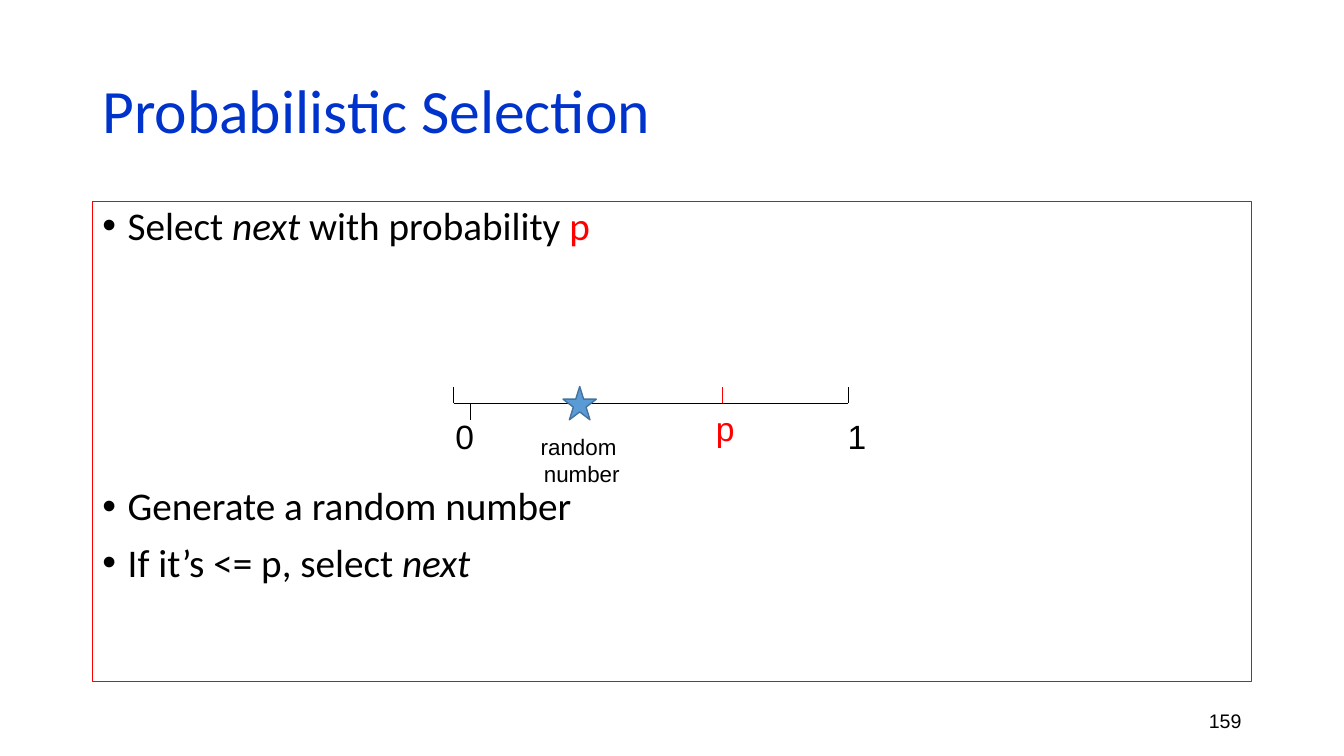
from lxml import etree
from pptx import Presentation
from pptx.dml.color import RGBColor
from pptx.enum.shapes import MSO_CONNECTOR, MSO_SHAPE
from pptx.enum.text import MSO_ANCHOR, PP_ALIGN
from pptx.oxml.ns import qn
from pptx.util import Cm, Pt

BLACK = RGBColor(0x00, 0x00, 0x00)
RED = RGBColor(0xFF, 0x00, 0x00)
TITLE_BLUE = RGBColor(0x00, 0x33, 0xCC)
STAR_FILL = RGBColor(0x5B, 0x9B, 0xD5)
STAR_LINE = RGBColor(0x43, 0x73, 0x9E)
LEFT, CENTER, RIGHT = PP_ALIGN.LEFT, PP_ALIGN.CENTER, PP_ALIGN.RIGHT
TOP, MIDDLE = MSO_ANCHOR.TOP, MSO_ANCHOR.MIDDLE
RECTANGLE, STAR = MSO_SHAPE.RECTANGLE, MSO_SHAPE.STAR_5_POINT
STRAIGHT = MSO_CONNECTOR.STRAIGHT

HEADING_FONT, LABEL_FONT = "Calibri", "Arial"
DIAGRAM_GAP = 170

# Each bullet: space before in points, then (text, italic, colour) runs.
BULLETS = [
    (0, [("Select ", False, BLACK), ("next", True, BLACK),
         (" with probability ", False, BLACK), ("p", False, RED)]),
    (DIAGRAM_GAP, [("Generate a random number", False, BLACK)]),
    (10, [("If it’s <= p, select ", False, BLACK), ("next", True, BLACK)]),
]


def set_font(paragraph, name, size, color):
    font = paragraph.font
    font.name, font.size = name, Pt(size)
    font.color.rgb = color


def add_text(slide, box, lines, font_name, size, color,
             alignment=LEFT, anchor=TOP, wrap=True, line_spacing=1.0):
    frame = slide.shapes.add_textbox(*map(Cm, box)).text_frame
    frame.word_wrap = wrap
    frame.vertical_anchor = anchor
    for index, line in enumerate(lines):
        paragraph = frame.add_paragraph() if index else frame.paragraphs[0]
        paragraph.text = line
        paragraph.alignment = alignment
        paragraph.line_spacing = line_spacing
        set_font(paragraph, font_name, size, color)


def add_line(slide, start, end, color):
    connector = slide.shapes.add_connector(STRAIGHT, *map(Cm, (*start, *end)))
    connector.line.color.rgb = color
    connector.line.width = Pt(0.5)
    properties = connector._element.spPr
    etree.SubElement(properties, qn("a:effectLst"))


def add_outlined_shape(slide, kind, box, line_color, line_width):
    shape = slide.shapes.add_shape(kind, *map(Cm, box))
    shape.shadow.inherit = False
    shape.line.color.rgb = line_color
    shape.line.width = Pt(line_width)
    return shape


def add_bullet(paragraph):
    properties = paragraph._p.get_or_add_pPr()
    properties.set("marL", str(Cm(0.64)))
    properties.set("indent", str(-Cm(0.64)))
    etree.SubElement(properties, qn("a:buFont"), typeface=LABEL_FONT)
    etree.SubElement(properties, qn("a:buChar"), char="•")


def add_body(slide, box):
    shape = add_outlined_shape(slide, RECTANGLE, box, RED, 0.75)
    shape.fill.background()
    frame = shape.text_frame
    frame.word_wrap = True
    frame.vertical_anchor = TOP
    for index, (space_before, runs) in enumerate(BULLETS):
        paragraph = frame.add_paragraph() if index else frame.paragraphs[0]
        add_bullet(paragraph)
        paragraph.alignment = LEFT
        paragraph.line_spacing = 0.9
        paragraph.space_before = Pt(space_before)
        set_font(paragraph, HEADING_FONT, 28, BLACK)
        for text, italic, color in runs:
            run = paragraph.add_run()
            run.text = text
            run.font.italic = italic
            run.font.color.rgb = color


def add_number_line(slide, box):
    """Draw the 0-to-1 axis along the middle of the box, with p and the star."""
    left, top, width, height = box
    tick = height / 2
    axis = top + tick
    right = left + width
    probability = left + 6.78
    star_center = left + 3.18

    add_line(slide, (left, axis), (right, axis), BLACK)
    for x, color in ((left, BLACK), (right, BLACK), (probability, RED)):
        add_line(slide, (x, axis), (x, axis - tick), color)
    add_line(slide, (left + tick, axis + tick), (left + tick, axis), BLACK)

    labels = [("0", left - 0.2, axis + 0.2, BLACK),
              ("1", right - 0.27, axis + 0.2, BLACK),
              ("p", probability - 0.42, axis, RED)]
    for text, x, y, color in labels:
        add_text(slide, (x, y, 1.1, 1.28), [text], LABEL_FONT, 24, color)

    star_box = (star_center - tick, top, height, height)
    star = add_outlined_shape(slide, STAR, star_box, STAR_LINE, 1)
    star.fill.solid()
    star.fill.fore_color.rgb = STAR_FILL
    add_text(slide, (star_center - 1.26, axis + 0.64, 2.62, 1.62),
             ["random ", "number"], LABEL_FONT, 16, BLACK,
             alignment=CENTER, wrap=False)


def main():
    presentation = Presentation()
    presentation.slide_width, presentation.slide_height = Cm(33.87), Cm(19.05)
    slide = presentation.slides.add_slide(presentation.slide_layouts[6])
    add_text(slide, (2.33, 1.01, 29.21, 3.68), ["Probabilistic Selection"],
             HEADING_FONT, 44, TITLE_BLUE, anchor=MIDDLE, line_spacing=0.9)
    add_body(slide, (2.33, 5.08, 29.21, 12.09))
    add_text(slide, (23.92, 17.66, 7.62, 1.01), ["159"],
             LABEL_FONT, 14, BLACK, alignment=RIGHT, anchor=MIDDLE)
    add_number_line(slide, (11.43, 9.74, 9.95, 0.84))
    presentation.save("out.pptx")


if __name__ == "__main__":
    main()
